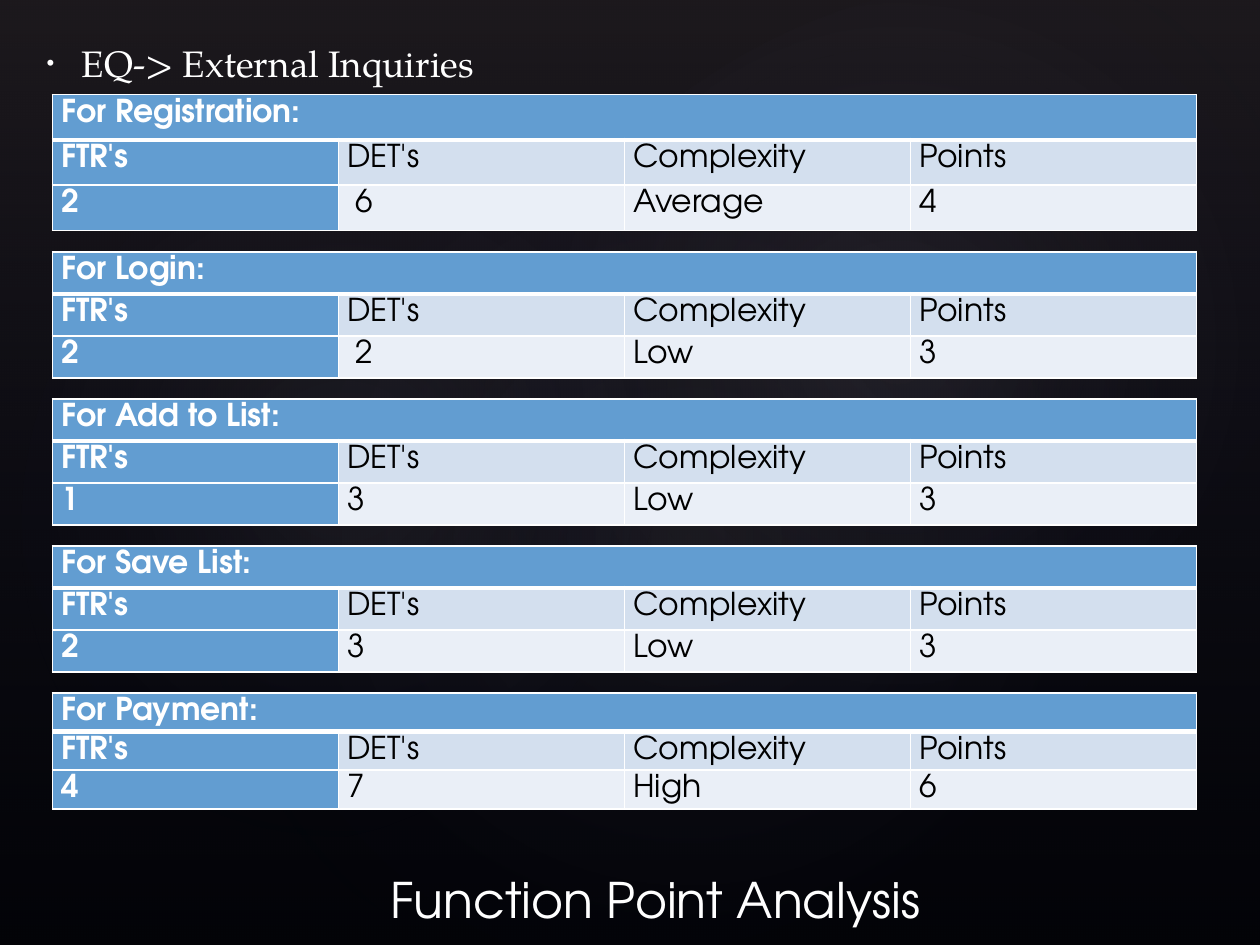
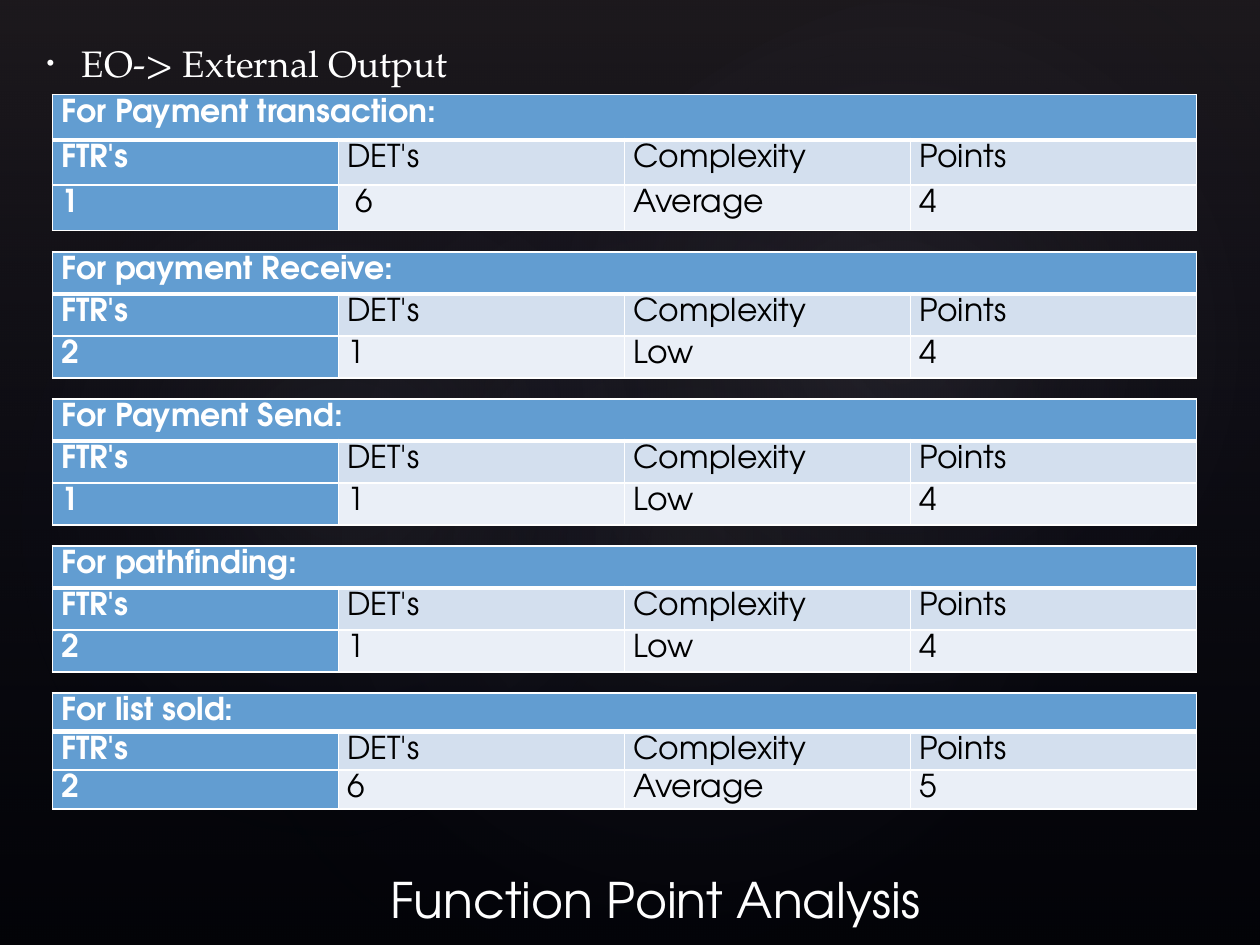
from pptx import Presentation
from pptx import util as u
from pptx.dml.color import RGBColor
from pptx.enum import shapes, text
from pptx.oxml import parse_xml
from pptx.oxml.ns import nsdecls, qn

COLORS = {"bg": "000000", "white": "FFFFFF", "black": "000000", "blue": "629DD1",
          "head": "D3DFEE", "row": "EAEFF7", "plum": "504652", "navy": "242852",
          "glow": "C4BCC6"}
SANS, SERIF = "TeX Gyre Adventor", "TeX Gyre Pagella"
W, H = 10, 7.5
LEFT, TABLE_W, COLS = W / 24, 9.08, 4
STEP = 7 / 6  # distance between table tops
TOPS = [H / 10] + [2 + STEP * i for i in range(4)]
HEIGHTS = [1.08, 1, 1, 1, 0.92]
HEADINGS = ["FTR's", "DET's", "Complexity", "Points"]

SLIDES = [
    ("EQ-> External Inquiries", [
        ("For Registration:", ["2", " 6", "Average", "4"]),
        ("For Login:", ["2", " 2", "Low", "3"]),
        ("For Add to List:", ["1", "3", "Low", "3"]),
        ("For Save List:", ["2", "3", "Low", "3"]),
        ("For Payment:", ["4", "7", "High", "6"])]),
    ("EO-> External Output", [
        ("For Payment transaction:", ["1", " 6", "Average", "4"]),
        ("For payment Receive:", ["2", "1", "Low", "4"]),
        ("For Payment Send:", ["1", "1", "Low", "4"]),
        ("For pathfinding:", ["2", "1", "Low", "4"]),
        ("For list sold:", ["2", "6", "Average", "5"])]),
]

# left, top, width, height, rotation, alpha of the centre in percent
GLOWS = [(1.5, 1.14, 7.92, 6.24, 328.7, 7),
         (-0.3, 1.28, 6.06, 4.9, 294.3, 8),
         (3.58, 0.13, 7.09, 5.2, 328.7, 8)]
LINEAR = '<a:lin ang="5400000" scaled="0"/>'
RADIAL = ('<a:path path="circle">'
          '<a:fillToRect l="50000" t="50000" r="50000" b="50000"/></a:path>')
BACKDROP = [(shapes.MSO_SHAPE.RECTANGLE, (0, 0, W, H), 0,
             [(0, "plum", 36), (100, "navy", 10)], LINEAR)]
for *box, turn, alpha in GLOWS:
    BACKDROP.append((shapes.MSO_SHAPE.OVAL, box, turn,
                     [(0, "glow", alpha), (58, "navy", 0), (100, "navy", 0)], RADIAL))


def style_text(p, font, size, color, bold=False):
    for r in p.runs:
        r.font.name, r.font.size, r.font.bold = font, u.Pt(size), bold
        r.font.color.rgb = RGBColor.from_string(COLORS[color])


def style_cell(cell, row, fill, color, bold):
    cell.margin_left = cell.margin_right = u.Inches(0.07)
    cell.margin_top = cell.margin_bottom = 0
    p = cell.text_frame.paragraphs[0]
    p.line_spacing = 1.15
    style_text(p, SANS, 18, color, bold)
    tcPr = cell._tc.get_or_add_tcPr()
    for side in "LRTB":
        width = 3 if (row, side) in [(0, "B"), (1, "T")] else 1
        tcPr.append(parse_xml(
            f'<a:ln{side} {nsdecls("a")} w="{u.Pt(width)}"><a:solidFill>'
            f'<a:srgbClr val="{COLORS["white"]}"/></a:solidFill></a:ln{side}>'))
    cell.fill.solid()
    cell.fill.fore_color.rgb = RGBColor.from_string(COLORS[fill])


prs = Presentation()
prs.slide_width, prs.slide_height = u.Inches(W), u.Inches(H)
master = prs.slide_master
master.background.fill.solid()
master.background.fill.fore_color.rgb = RGBColor.from_string(COLORS["bg"])

for n, (heading, tables) in enumerate(SLIDES):
    s = prs.slides.add_slide(prs.slide_layouts[1])

    # The backdrop is drawn once and moved to the master, behind its placeholders
    if n == 0:
        for i, (kind, box, turn, stops, direction) in enumerate(BACKDROP):
            sp = s.shapes.add_shape(kind, *map(u.Inches, box))
            sp.rotation = turn
            sp.shadow.inherit = False
            sp.line.fill.background()
            sp.fill.background()
            gs = "".join(f'<a:gs pos="{pos * 1000}"><a:srgbClr val="{COLORS[c]}">'
                         f'<a:alpha val="{a * 1000}"/></a:srgbClr></a:gs>'
                         for pos, c, a in stops)
            spPr = sp.element.spPr
            spPr.replace(spPr.find(qn("a:noFill")), parse_xml(
                f'<a:gradFill {nsdecls("a")} rotWithShape="1">'
                f'<a:gsLst>{gs}</a:gsLst>{direction}</a:gradFill>'))
            master.element.cSld.spTree.insert(2 + i, sp.element)

    title, body = s.placeholders
    for sp, box, words, anchor, font, size in [
            (title, (0.3 * W, 0.9 * H, 4.58, 0.67), "Function Point Analysis",
             text.MSO_ANCHOR.BOTTOM, SANS, 28),
            (body, (W / 40, H / 30, 0.95 * W, H / 15), heading,
             text.MSO_ANCHOR.MIDDLE, SERIF, 21)]:
        sp.left, sp.top, sp.width, sp.height = map(u.Inches, box)
        tf = sp.text_frame
        tf.text = words
        tf.auto_size = text.MSO_AUTO_SIZE.NONE
        tf.vertical_anchor = anchor
        p = tf.paragraphs[0]
        p.alignment = text.PP_ALIGN.LEFT
        style_text(p, font, size, "white")
    pPr = body.text_frame.paragraphs[0]._p.get_or_add_pPr()
    pPr.set("marL", str(u.Inches(0.3)))
    pPr.set("indent", str(u.Inches(-0.28)))
    pPr.append(parse_xml(f'<a:buSzPct {nsdecls("a")} val="60000"/>'))
    pPr.append(parse_xml(f'<a:buChar {nsdecls("a")} char="•"/>'))

    for top, height, (name, values) in zip(TOPS, HEIGHTS, tables):
        table = s.shapes.add_table(3, COLS, *map(u.Inches, (LEFT, top, TABLE_W, height))).table
        table.cell(0, 0).merge(table.cell(0, COLS - 1))
        table.cell(0, 0).text = name
        for row, words in enumerate([HEADINGS, values], 1):
            for col, word in enumerate(words):
                table.cell(row, col).text = word
        for row in range(3):
            for col in range(COLS):
                strong = row == 0 or col == 0
                fill = "blue" if strong else ("head" if row == 1 else "row")
                style_cell(table.cell(row, col), row, fill,
                           "white" if strong else "black", strong)

prs.save("out.pptx")
